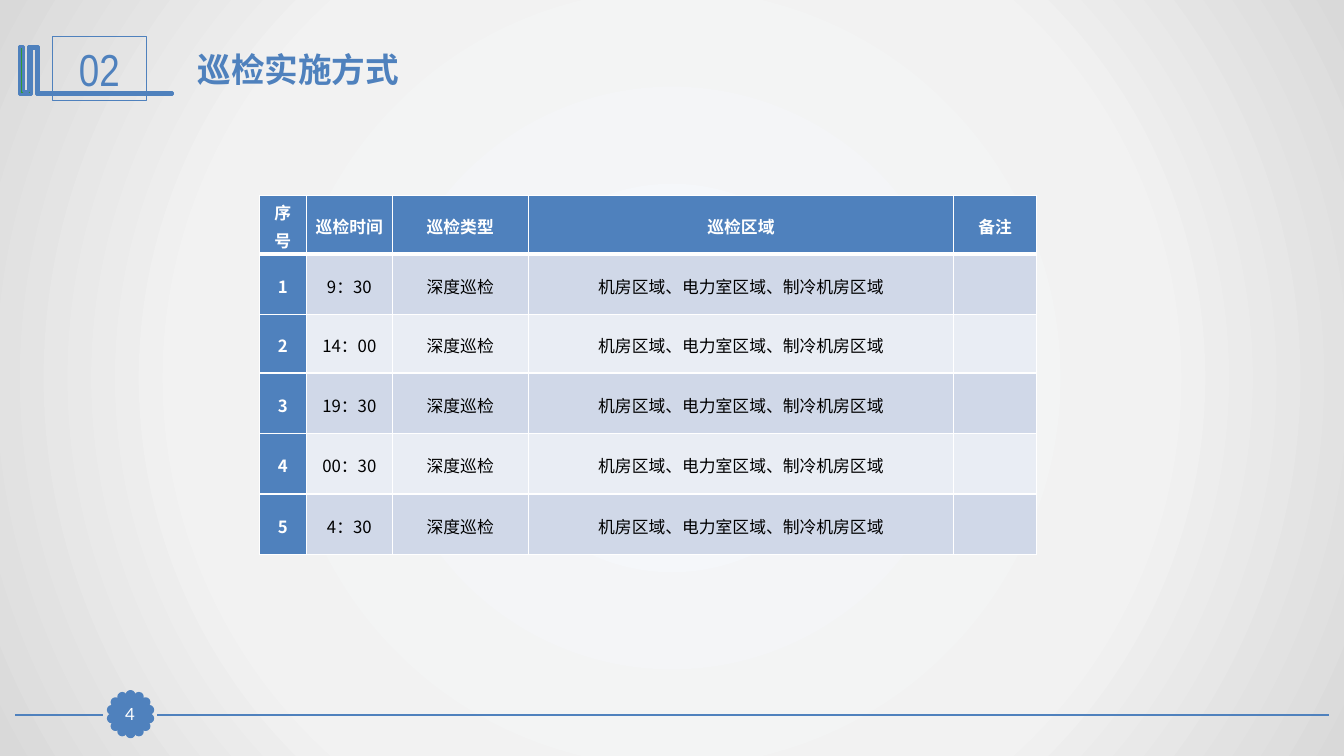
import math

import lxml.etree
import pptx
import pptx.dml.color
import pptx.enum.shapes
import pptx.enum.text
import pptx.oxml
import pptx.oxml.ns
import pptx.util

Inches = pptx.util.Inches
Pt = pptx.util.Pt
RGBColor = pptx.dml.color.RGBColor
MSO_SHAPE = pptx.enum.shapes.MSO_SHAPE
CENTER = pptx.enum.text.PP_ALIGN.CENTER
MIDDLE = pptx.enum.text.MSO_ANCHOR.MIDDLE
qn = pptx.oxml.ns.qn

BLUE = RGBColor(0x4F, 0x81, 0xBD)
GREEN = RGBColor(0x33, 0x99, 0x33)
WHITE = RGBColor(0xFF, 0xFF, 0xFF)
BLACK = RGBColor(0x00, 0x00, 0x00)
BAND_DARK = RGBColor(0xD0, 0xD8, 0xE8)
BAND_LIGHT = RGBColor(0xE9, 0xED, 0xF4)


def write(paragraph, text, font_name, size, color, bold=False):
    paragraph.text = text
    font = paragraph.font
    font.name = font_name
    font.size = Pt(size)
    font.bold = bold
    font.color.rgb = color


def outline(shape, width, fill=None):
    shape.shadow.inherit = False
    if fill is None:
        shape.fill.background()
    else:
        shape.fill.solid()
        shape.fill.fore_color.rgb = fill
    shape.line.color.rgb = BLUE
    shape.line.width = Pt(width)


deck = pptx.Presentation()
deck.slide_width = Inches(13.33)
deck.slide_height = Inches(7.5)
slide = deck.slides.add_slide(deck.slide_layouts[6])
shapes = slide.shapes

stops = "".join(
    f'<a:gs pos="{position * 1000}"><a:srgbClr val="{color}"/></a:gs>'
    for position, color in [(0, "F6F9FC"), (63, "F2F2F2"), (100, "D9D9D9")]
)
backdrop = pptx.oxml.parse_xml(
    f'<p:bg {pptx.oxml.ns.nsdecls("p", "a")}><p:bgPr><a:gradFill rotWithShape="1">'
    f'<a:gsLst>{stops}</a:gsLst><a:path path="circle">'
    '<a:fillToRect l="50000" t="50000" r="50000" b="50000"/></a:path>'
    "</a:gradFill><a:effectLst/></p:bgPr></p:bg>"
)
slide.element.find(qn("p:cSld")).insert(0, backdrop)

for start, end in [(13.18, 1.56), (1.02, 0.15)]:
    footer_rule = shapes.add_connector(
        pptx.enum.shapes.MSO_CONNECTOR.STRAIGHT,
        Inches(start), Inches(7.09), Inches(end), Inches(7.09),
    )
    footer_rule.line.color.rgb = BLUE
    footer_rule.line.width = Pt(1.25)
    lxml.etree.SubElement(footer_rule.element.find(qn("p:spPr")), qn("a:effectLst"))

PETALS = 14
for petal_index in range(PETALS):
    angle = 2 * math.pi * petal_index / PETALS
    petal = shapes.add_shape(
        MSO_SHAPE.OVAL,
        Inches(1.26 + 0.19 * math.sin(angle)),
        Inches(7.05 - 0.19 * math.cos(angle)),
        Inches(0.07), Inches(0.07),
    )
    outline(petal, 2, BLUE)

book_points = [
    (0.38, 0.46), (0.38, 0.92), (1.71, 0.92), (1.71, 0.94), (0.36, 0.94),
    (0.36, 0.48), (0.31, 0.48), (0.31, 0.94), (0.19, 0.94), (0.19, 0.46),
    (0.23, 0.46), (0.23, 0.91), (0.28, 0.91), (0.28, 0.46),
]
book_corners = [(Inches(x), Inches(y)) for x, y in book_points]
book_builder = shapes.build_freeform(*book_corners[0])
book_builder.add_line_segments(book_corners[1:], close=True)
book = book_builder.convert_to_shape()
outline(book, 2, GREEN)

section_number = shapes.add_shape(
    MSO_SHAPE.RECTANGLE, Inches(0.52), Inches(0.36), Inches(0.93), Inches(0.64)
)
outline(section_number, 0.75)
section_number.text_frame.vertical_anchor = MIDDLE
section_number.text_frame.paragraphs[0].alignment = CENTER
write(section_number.text_frame.paragraphs[0], "02", "Arial Narrow", 32, BLUE)

page_number = shapes.add_shape(
    MSO_SHAPE.RECTANGLE, Inches(1.13), Inches(6.93), Inches(0.32), Inches(0.31)
)
outline(page_number, 0.75, BLUE)
page_frame = page_number.text_frame
page_frame.margin_left = page_frame.margin_right = 0
page_frame.margin_top = page_frame.margin_bottom = 0
page_frame.vertical_anchor = MIDDLE
page_frame.paragraphs[0].alignment = CENTER
write(page_frame.paragraphs[0], "4", "Lato", 12, WHITE)

title = shapes.add_textbox(Inches(1.86), Inches(0.44), Inches(9.69), Inches(0.5))
title.text_frame.word_wrap = True
write(title.text_frame.paragraphs[0], "巡检实施方式", "Lato", 24, BLUE, True)

headings = ["序号", "巡检时间", "巡检类型", "巡检区域", "备注"]
times = ["9：30", "14：00", "19：30", "00：30", "4：30"]
schedule = [headings] + [
    [str(number), time, "深度巡检", "机房区域、电力室区域、制冷机房区域", ""]
    for number, time in enumerate(times, 1)
]
column_widths = [0.47, 0.85, 1.35, 4.22, 0.82]
row_heights = [0.58, 0.6, 0.58, 0.6, 0.6, 0.6]
table = shapes.add_table(
    len(schedule), len(headings),
    Inches(2.57), Inches(1.94), Inches(7.71), Inches(3.56),
).table
for column, width in zip(table.columns, column_widths):
    column.width = Inches(width)

for row_index, entries in enumerate(schedule):
    table.rows[row_index].height = Inches(row_heights[row_index])
    for column_index, entry in enumerate(entries):
        cell = table.cell(row_index, column_index)
        is_heading = row_index == 0 or column_index == 0
        band = BAND_DARK if row_index % 2 else BAND_LIGHT
        cell.fill.solid()
        cell.fill.fore_color.rgb = BLUE if is_heading else band
        cell.vertical_anchor = MIDDLE
        cell.margin_left = cell.margin_right = Inches(0.07)
        cell.margin_top = cell.margin_bottom = 0
        if entry:
            paragraph = cell.text_frame.paragraphs[0]
            paragraph.alignment = CENTER
            paragraph.line_spacing = 1.15
            color = WHITE if is_heading else BLACK
            write(paragraph, entry, "Noto Sans CJK SC", 12, color, is_heading)
        border_widths = {
            "lnL": 1,
            "lnR": 1,
            "lnT": 3 if row_index == 1 else 1,
            "lnB": 3 if row_index == 0 else 1,
        }
        for position, (side, width) in enumerate(border_widths.items()):
            border = pptx.oxml.parse_xml(
                f'<a:{side} {pptx.oxml.ns.nsdecls("a")} w="{Pt(width)}"><a:solidFill>'
                f'<a:srgbClr val="{WHITE}"/></a:solidFill></a:{side}>'
            )
            cell._tc.get_or_add_tcPr().insert(position, border)

deck.save("out.pptx")
